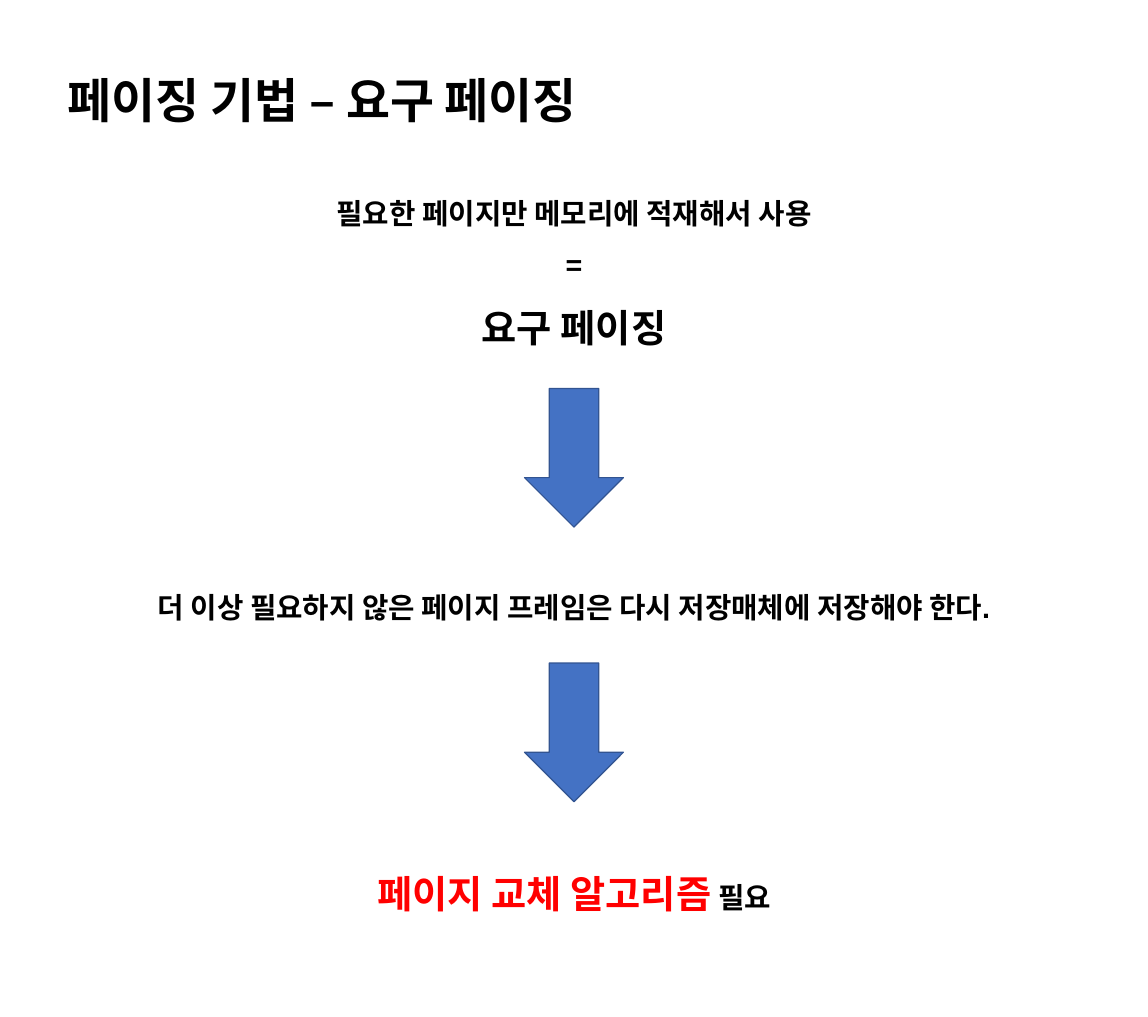
from pptx import Presentation
from pptx.dml.color import RGBColor
from pptx.enum.shapes import MSO_SHAPE as SHAPE
from pptx.enum.text import MSO_AUTO_SIZE as AUTO, PP_ALIGN as ALIGN
from pptx.util import Cm, Pt

BLACK = RGBColor(0x00, 0x00, 0x00)
RED = RGBColor(0xFF, 0x00, 0x00)
BLUE = RGBColor(0x44, 0x72, 0xC4)
DARK_BLUE = RGBColor(0x32, 0x54, 0x91)

SLIDE_W, SLIDE_H = 33.87, 30
ARROW_W, ARROW_H = 2.92, 4.09


def centred(width):
    return (SLIDE_W - width) / 2


def add_run(p, text, size=24, color=BLACK, font="Arial"):
    r = p.add_run()
    r.text = text
    r.font.name = font
    r.font.size = Pt(size)
    r.font.bold = True
    r.font.color.rgb = color


def add_text(slide, paragraphs, left, top, width, height,
             align=ALIGN.CENTER, spacing=1.5):
    sp = slide.shapes.add_textbox(Cm(left), Cm(top), Cm(width), Cm(height))
    tf = sp.text_frame
    tf.word_wrap = False
    tf.auto_size = AUTO.SHAPE_TO_FIT_TEXT
    for i, runs in enumerate(paragraphs):
        p = tf.add_paragraph() if i else tf.paragraphs[0]
        p.alignment = align
        p.line_spacing = spacing
        for text, style in runs:
            add_run(p, text, **style)


def add_centred_text(slide, paragraphs, top, width, height):
    add_text(slide, paragraphs, centred(width), top, width, height)


def add_down_arrow(slide, top):
    sp = slide.shapes.add_shape(SHAPE.DOWN_ARROW, Cm(centred(ARROW_W)), Cm(top),
                                Cm(ARROW_W), Cm(ARROW_H))
    sp.shadow.inherit = False
    sp.fill.solid()
    sp.fill.fore_color.rgb = BLUE
    sp.line.color.rgb = DARK_BLUE
    sp.line.width = Pt(1)


def main():
    prs = Presentation()
    prs.slide_width, prs.slide_height = Cm(SLIDE_W), Cm(SLIDE_H)
    slide = prs.slides.add_slide(prs.slide_layouts[6])

    add_text(slide, [[("페이징 기법 – 요구 페이징", {"size": 40, "font": "Calibri"})]],
             1.75, 1.96, 16.76, 1.96, align=ALIGN.LEFT, spacing=1.0)
    add_centred_text(slide, [
        [("필요한 페이지만 메모리에 적재해서 사용", {})],
        [("=", {})],
        [("요구 페이징", {"size": 32})],
    ], 5.13, 16.26, 5.13)
    add_centred_text(slide, [
        [("더 이상 필요하지 않은 페이지 프레임은 다시 저장매체에 저장해야 한다.", {})],
    ], 16.76, 28.24, 1.6)
    for top in (11.46, 19.56):
        add_down_arrow(slide, top)
    add_centred_text(slide, [
        [("페이지 교체 알고리즘", {"size": 32, "color": RED}), (" 필요", {})],
    ], 24.87, 13.59, 2.03)

    prs.save("out.pptx")


main()
